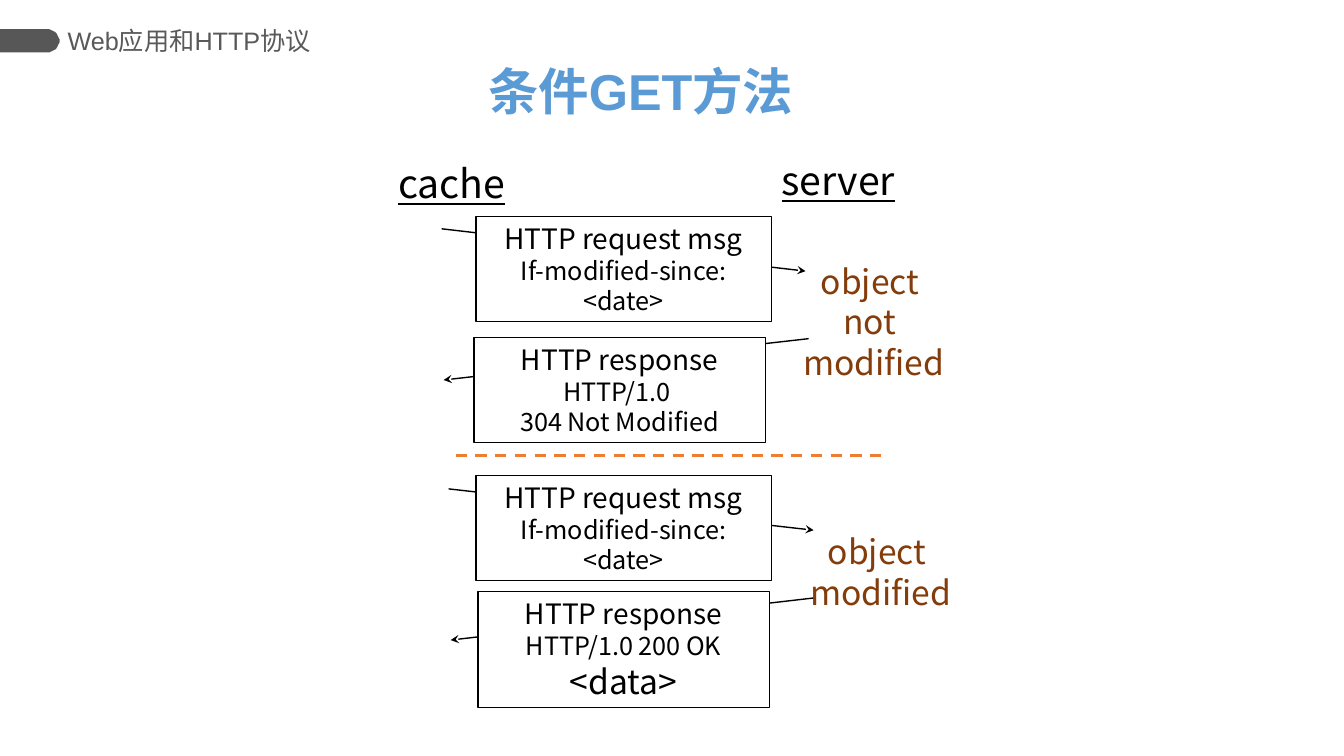
import math

from pptx import Presentation, util as u
from pptx.dml.color import RGBColor
from pptx.enum import dml, shapes, text
from pptx.oxml import parse_xml
from pptx.oxml.ns import nsdecls

PX = 9144  # 100 px to the inch
SANS = "Noto Sans CJK SC"
BLACK, WHITE, BROWN, ORANGE = "000000", "FFFFFF", "843C0B", "ED7D31"
BLUE, GREY, DARK_GREY = "5B9BD5", "595959", "575757"


def px(*lengths):
    return [u.Emu(length * PX) for length in lengths]


def rgb(hex_colour):
    return RGBColor.from_string(hex_colour)


def write(frame, lines, colour, face=SANS, align=text.PP_ALIGN.CENTER,
          side_inset=10, **font_settings):
    """Fill a frame with one paragraph for each (wording, point size)."""
    frame.margin_left, frame.margin_right = px(side_inset, side_inset)
    frame.margin_top, frame.margin_bottom = px(5, 5)
    for index, (wording, size) in enumerate(lines):
        paragraph = frame.add_paragraph() if index else frame.paragraphs[0]
        paragraph.text = wording
        paragraph.alignment = align
        font = paragraph.font
        font.name, font.size = face, u.Pt(size)
        font.color.rgb = rgb(colour)
        for setting, value in font_settings.items():
            setattr(font, setting, value)


def add_heading(slide, place, wording, size, colour, **settings):
    frame = slide.shapes.add_textbox(*px(*place)).text_frame
    frame.word_wrap = True
    frame.vertical_anchor = text.MSO_ANCHOR.MIDDLE
    write(frame, [(wording, size)], colour, face="Arial", **settings)
    return frame


def add_label(slide, place, lines, colour, **settings):
    frame = slide.shapes.add_textbox(*px(*place)).text_frame
    frame.word_wrap = False
    frame.auto_size = text.MSO_AUTO_SIZE.SHAPE_TO_FIT_TEXT
    write(frame, lines, colour, **settings)


def add_line(slide, ends, colour, width):
    line = slide.shapes.add_connector(shapes.MSO_CONNECTOR.STRAIGHT, *px(*ends))
    line.line.color.rgb = rgb(colour)
    line.line.width = u.Pt(width)
    line._element.spPr.append(parse_xml(f"<a:effectLst {nsdecls('a')}/>"))
    return line.line


def add_message(slide, arrow_ends, place, lines):
    """Draw an arrow with its message box lying over the middle."""
    arrow = add_line(slide, arrow_ends, BLACK, 1)
    arrow._get_or_add_ln().append(
        parse_xml(f'<a:tailEnd {nsdecls("a")} type="stealth"/>'))
    box = slide.shapes.add_shape(shapes.MSO_SHAPE.RECTANGLE, *px(*place))
    box.shadow.inherit = False
    box.fill.solid()
    box.fill.fore_color.rgb = rgb(WHITE)
    box.line.color.rgb = rgb(BLACK)
    box.line.width = u.Pt(1)
    frame = box.text_frame
    frame.word_wrap = True
    frame.auto_size = text.MSO_AUTO_SIZE.SHAPE_TO_FIT_TEXT
    frame.vertical_anchor = text.MSO_ANCHOR.TOP
    write(frame, lines, BLACK)


def add_section_tab(slide, top, width, height):
    """Draw a tab at the left edge with a half-round right end."""
    radius = height / 2
    angles = [math.radians(degrees) for degrees in range(-90, 91, 10)]
    outline = [(width - radius + radius * math.cos(angle),
                top + radius + radius * math.sin(angle)) for angle in angles]
    builder = slide.shapes.build_freeform(0, top, scale=PX)
    builder.add_line_segments(outline + [(0, top + height)], close=True)
    tab = builder.convert_to_shape()
    tab.shadow.inherit = False
    tab.fill.solid()
    tab.fill.fore_color.rgb = rgb(DARK_GREY)
    tab.line.fill.background()


def main():
    deck = Presentation()
    deck.slide_width, deck.slide_height = px(1333, 750)
    slide = deck.slides.add_slide(deck.slide_layouts[6])

    add_section_tab(slide, 29, 59, 23)
    title = add_heading(slide, (200, 31, 871, 125), "条件GET方法", 36, BLUE, bold=True)
    title.paragraphs[0].line_spacing = 0.9
    add_heading(slide, (67, 19, 263, 42), "Web应用和HTTP协议", 18, GREY,
                align=text.PP_ALIGN.LEFT, side_inset=0)

    add_label(slide, (384, 153, 128, 57), [("cache", 28)], BLACK, underline=True)
    add_label(slide, (764, 150, 135, 57), [("server", 28)], BLACK, underline=True)

    request = [("HTTP request msg", 20), ("If-modified-since: <date>", 18)]
    not_modified = [("HTTP response", 20), ("HTTP/1.0 ", 18), ("304 Not Modified", 18)]
    modified = [("HTTP response", 20), ("HTTP/1.0 200 OK", 18), ("<data>", 24)]

    add_message(slide, (438, 227, 799, 269), (472, 215, 293, 104), request)
    add_message(slide, (802, 336, 440, 377), (470, 335, 289, 104), not_modified)
    add_label(slide, (784, 254, 165, 131),
              [("object ", 24), ("not ", 24), ("modified", 24)], BROWN)

    divider = add_line(slide, (452, 452, 879, 452), ORANGE, 2)
    divider.dash_style = dml.MSO_LINE.DASH

    add_message(slide, (445, 485, 807, 526), (472, 472, 293, 104), request)
    add_message(slide, (809, 593, 447, 635), (474, 587, 289, 115), modified)
    add_label(slide, (791, 522, 165, 91), [("object ", 24), ("modified", 24)], BROWN)

    deck.save("out.pptx")


if __name__ == "__main__":
    main()
